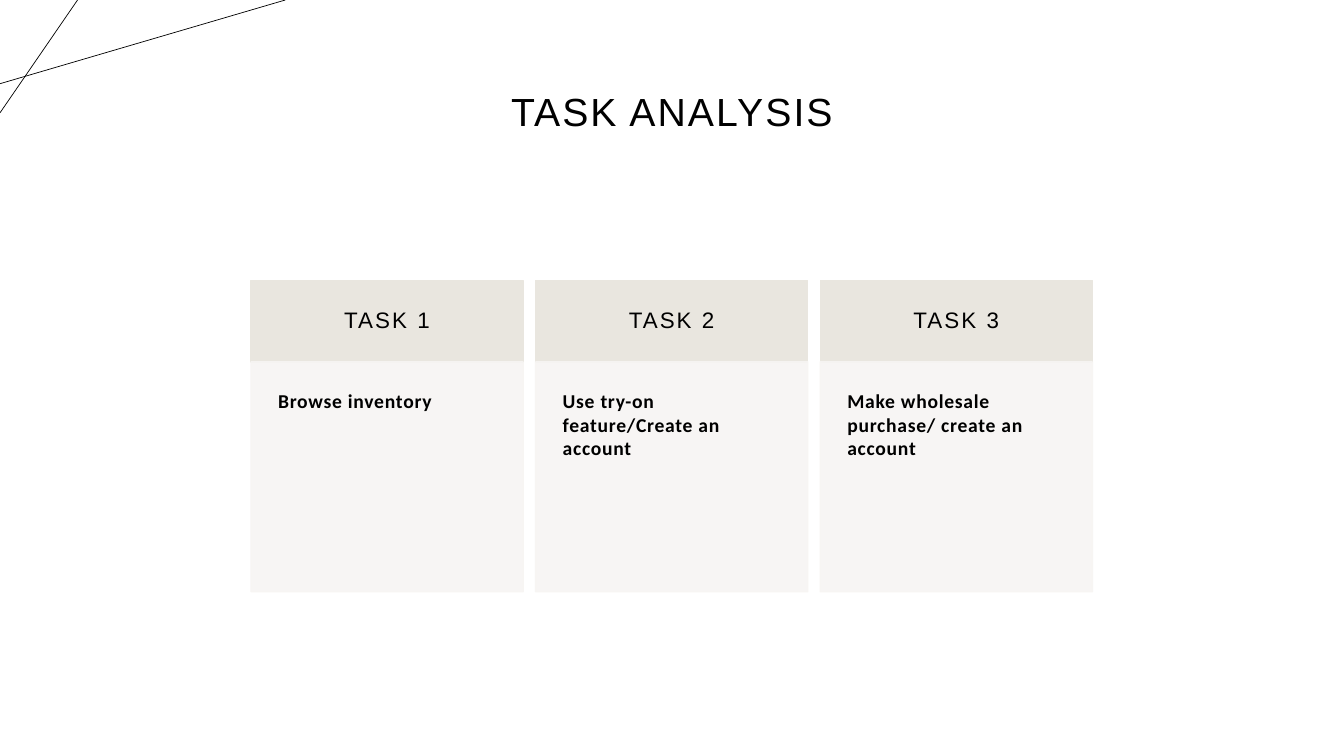
from lxml.etree import SubElement
from pptx import Presentation
from pptx.dml.color import RGBColor
from pptx.enum.shapes import MSO_CONNECTOR, MSO_SHAPE
from pptx.enum.text import MSO_ANCHOR, PP_ALIGN
from pptx.oxml.ns import qn
from pptx.util import Pt

TITLE = "TASK ANALYSIS"
TASKS = [
    ("TASK 1", "Browse inventory"),
    ("TASK 2", "Use try-on feature/Create an account"),
    ("TASK 3", "Make wholesale purchase/ create an account"),
]
CORNER_LINES = [(0, 59.8, 203.8, 0), (55.4, 0, 0, 80.6)]
BLACK, SAND, PALE = "000000", "E9E6DF", "F7F5F3"
CARD_LEFT, CARD_TOP, CARD_WIDTH, CARD_PITCH = 179.3, 200.2, 194.4, 203.3
HEADER_HEIGHT, BODY_HEIGHT = 58.3, 164.2


def paint(color_format, color, opacity=100):
    color_format.rgb = RGBColor.from_string(color)


def set_opacity(shape, percent):
    for color in shape._element.spPr.iter(qn("a:srgbClr")):
        SubElement(color, qn("a:alpha")).set("val", str(percent * 1000))


def write(shape, text, size, font, tracking, inset, anchor, align,
          bold=False, line_spacing=1.0, space_after=0):
    frame = shape.text_frame
    frame.text = text
    frame.word_wrap = True
    frame.vertical_anchor = anchor
    frame.margin_left = frame.margin_right = Pt(inset)
    frame.margin_top = frame.margin_bottom = Pt(inset)
    paragraph = frame.paragraphs[0]
    paragraph.alignment = align
    paragraph.line_spacing = line_spacing
    paragraph.space_after = Pt(space_after)
    run = paragraph.runs[0]
    run.font.size = Pt(size)
    run.font.name = font
    run.font.bold = bold
    paint(run.font.color, BLACK)
    run.font._element.set("spc", str(int(tracking * 100)))


def add_panel(slide, left, top, height, color):
    shape = slide.shapes.add_shape(
        MSO_SHAPE.RECTANGLE, Pt(left), Pt(top), Pt(CARD_WIDTH), Pt(height))
    shape.shadow.inherit = False
    shape.fill.solid()
    paint(shape.fill.fore_color, color)
    paint(shape.line.color, color)
    shape.line.width = Pt(1)
    return shape


def add_corner_line(slide, ends):
    line = slide.shapes.add_connector(
        MSO_CONNECTOR.STRAIGHT, *[Pt(value) for value in ends])
    paint(line.line.color, BLACK)
    line.line.width = Pt(0.5)
    SubElement(line._element.spPr, qn("a:effectLst"))


def add_card(slide, left, heading, body):
    header = add_panel(slide, left, CARD_TOP, HEADER_HEIGHT, SAND)
    write(header, heading, 16, "Arial", 1.5, 15.1, MSO_ANCHOR.MIDDLE,
          PP_ALIGN.CENTER, line_spacing=0.9, space_after=5.6)
    panel = add_panel(slide, left, CARD_TOP + HEADER_HEIGHT, BODY_HEIGHT, PALE)
    set_opacity(panel, 90)
    write(panel, body, 14, "Calibri", 0.5, 19.4, MSO_ANCHOR.TOP,
          PP_ALIGN.LEFT, bold=True, space_after=4.9)


def main():
    presentation = Presentation()
    presentation.slide_width, presentation.slide_height = Pt(960), Pt(540)
    slide = presentation.slides.add_slide(presentation.slide_layouts[6])
    for ends in CORNER_LINES:
        add_corner_line(slide, ends)
    title = slide.shapes.add_textbox(Pt(66), Pt(28.8), Pt(828), Pt(104.4))
    write(title, TITLE, 28, "Arial", 1.5, 3.6, MSO_ANCHOR.MIDDLE,
          PP_ALIGN.CENTER, line_spacing=0.9)
    for index, (heading, body) in enumerate(TASKS):
        add_card(slide, CARD_LEFT + index * CARD_PITCH, heading, body)
    presentation.save("out.pptx")


if __name__ == "__main__":
    main()
